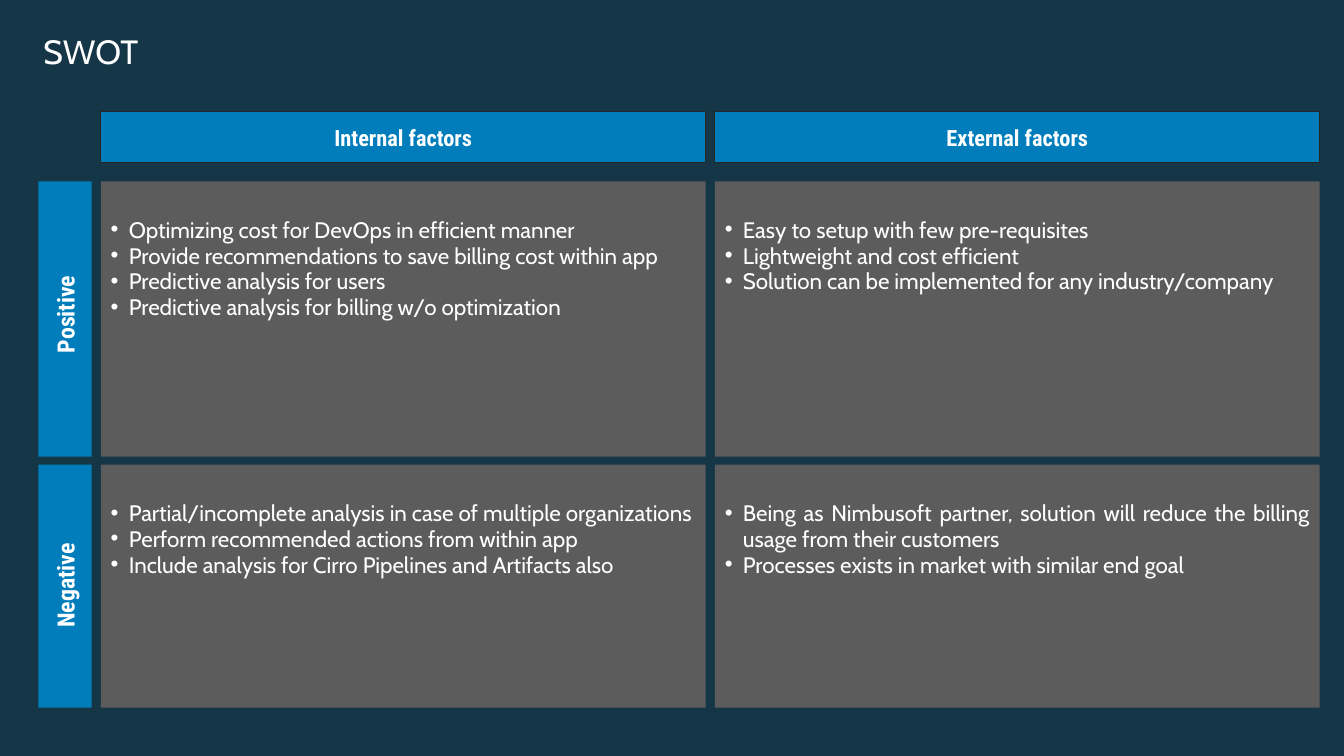
"""Build a SWOT slide: internal and external factors against positive and negative."""
from dataclasses import dataclass

from lxml.etree import SubElement
from pptx import Presentation
from pptx.dml.color import RGBColor
from pptx.enum.shapes import MSO_SHAPE as Shape
from pptx.enum.text import MSO_ANCHOR as Anchor, PP_ALIGN as Align
from pptx.oxml.ns import qn
from pptx.util import Pt

TITLE = "SWOT"
COLUMNS = ["Internal factors", "External factors"]
ROWS = [
    {
        "label": "Positive", "top": 180, "height": 273, "label_center": 312,
        "cells": [
            [
                "Optimizing cost for DevOps in efficient manner",
                "Provide recommendations to save billing cost within app",
                "Predictive analysis for users",
                "Predictive analysis for billing w/o optimization",
            ],
            [
                "Easy to setup with few pre-requisites",
                "Lightweight and cost efficient",
                "Solution can be implemented for any industry/company",
            ],
        ],
    },
    {
        "label": "Negative", "top": 461, "height": 241, "label_center": 581,
        "cells": [
            [
                "Partial/incomplete analysis in case of multiple organizations",
                "Perform recommended actions from within app",
                "Include analysis for Cirro Pipelines and Artifacts also",
            ],
            [
                "Being as Nimbusoft partner, solution will reduce the billing "
                "usage from their customers",
                "Processes exists in market with similar end goal",
            ],
        ],
    },
]


@dataclass(frozen=True)
class Theme:
    """Colours, fonts and type sizes."""
    background: str = "153647"
    panel: str = "5C5C5C"
    accent: str = "007DBA"
    outline: str = "262626"
    text: str = "FFFFFF"
    body_font: str = "Cabin"
    label_font: str = "Roboto Condensed"
    title_size: int = 24
    body_size: int = 16
    label_size: int = 17
    line_spacing: float = 18.5


THEME = Theme()
EMU_PER_PX = 9144
PAGE_WIDTH, PAGE_HEIGHT = 1333, 750
TITLE_BOX = (38, 25, 1270, 56)
COLUMN_LEFT, COLUMN_WIDTH, COLUMN_STEP = 100, 600, 609
HEADER_TOP, HEADER_HEIGHT = 111, 50
BAR_LEFT, BAR_WIDTH = 38, 53
LABEL_WIDTH, LABEL_HEIGHT = 140, 39
BULLET_INDENT = 18


def px(length):
    """Turn px into EMU."""
    return round(length * EMU_PER_PX)


def color(value):
    """Turn a hex string into a colour."""
    return RGBColor.from_string(value)


def set_margins(frame, left, top, right, bottom):
    """Set the insets of a text frame in px."""
    frame.margin_left, frame.margin_top = px(left), px(top)
    frame.margin_right, frame.margin_bottom = px(right), px(bottom)


def add_span(para, text, font, size, bold=False):
    """Add one formatted run to a paragraph."""
    span = para.add_run()
    span.text = text
    span.font.name = font
    span.font.size = Pt(size)
    span.font.bold = bold
    span.font.color.rgb = color(THEME.text)


def add_box(page, left, top, width, height, fill, outline=None):
    """Add a flat rectangle."""
    box = page.shapes.add_shape(Shape.RECTANGLE, px(left), px(top), px(width), px(height))
    box.shadow.inherit = False
    box.fill.solid()
    box.fill.fore_color.rgb = color(fill)
    if outline:
        box.line.color.rgb = color(outline)
        box.line.width = Pt(0.5)
    else:
        box.line.fill.background()
    return box


def add_label(box, text, size):
    """Write a centred bold label into a box."""
    frame = box.text_frame
    frame.word_wrap = True
    frame.vertical_anchor = Anchor.MIDDLE
    para = frame.paragraphs[0]
    para.alignment = Align.CENTER
    add_span(para, text, THEME.label_font, size, bold=True)


def add_bullets(box, items):
    """Write a justified bullet list into a box."""
    frame = box.text_frame
    frame.word_wrap = True
    frame.vertical_anchor = Anchor.TOP
    set_margins(frame, 10, 35, 10, 5)
    for index, item in enumerate(items):
        para = frame.add_paragraph() if index else frame.paragraphs[0]
        para.alignment = Align.JUSTIFY
        para.line_spacing = Pt(THEME.line_spacing)
        properties = para._p.get_or_add_pPr()
        properties.set("marL", str(px(BULLET_INDENT)))
        properties.set("indent", str(-px(BULLET_INDENT)))
        SubElement(properties, qn("a:buFont"), typeface="Arial")
        SubElement(properties, qn("a:buChar"), char="•")
        add_span(para, item, THEME.body_font, THEME.body_size)


def add_title(page):
    """Place and format the title placeholder."""
    title = page.shapes.title
    title.left, title.top, title.width, title.height = map(px, TITLE_BOX)
    frame = title.text_frame
    frame.vertical_anchor = Anchor.MIDDLE
    set_margins(frame, 5, 5, 5, 5)
    para = frame.paragraphs[0]
    para.alignment = Align.LEFT
    para.line_spacing = 0.9
    add_span(para, TITLE, THEME.body_font, THEME.title_size)


def add_row(page, row):
    """Add a side bar, its turned label and the two panels of a row."""
    top, height = row["top"], row["height"]
    for column, items in enumerate(row["cells"]):
        left = COLUMN_LEFT + column * COLUMN_STEP
        add_bullets(add_box(page, left, top, COLUMN_WIDTH, height, THEME.panel), items)
    add_box(page, BAR_LEFT, top, BAR_WIDTH, height, THEME.accent)
    label = page.shapes.add_textbox(
        px(BAR_LEFT + (BAR_WIDTH - LABEL_WIDTH) / 2),
        px(row["label_center"] - LABEL_HEIGHT / 2),
        px(LABEL_WIDTH), px(LABEL_HEIGHT))
    label.rotation = 270
    add_label(label, row["label"], THEME.label_size)


def main():
    """Build and save the deck."""
    deck = Presentation()
    deck.slide_width, deck.slide_height = px(PAGE_WIDTH), px(PAGE_HEIGHT)
    page = deck.slides.add_slide(deck.slide_layouts[5])
    page.background.fill.solid()
    page.background.fill.fore_color.rgb = color(THEME.background)
    add_title(page)
    for column, heading in enumerate(COLUMNS):
        left = COLUMN_LEFT + column * COLUMN_STEP
        header = add_box(page, left, HEADER_TOP, COLUMN_WIDTH, HEADER_HEIGHT,
                         THEME.accent, THEME.outline)
        add_label(header, heading, THEME.body_size)
    for row in ROWS:
        add_row(page, row)
    deck.save("out.pptx")


if __name__ == "__main__":
    main()
